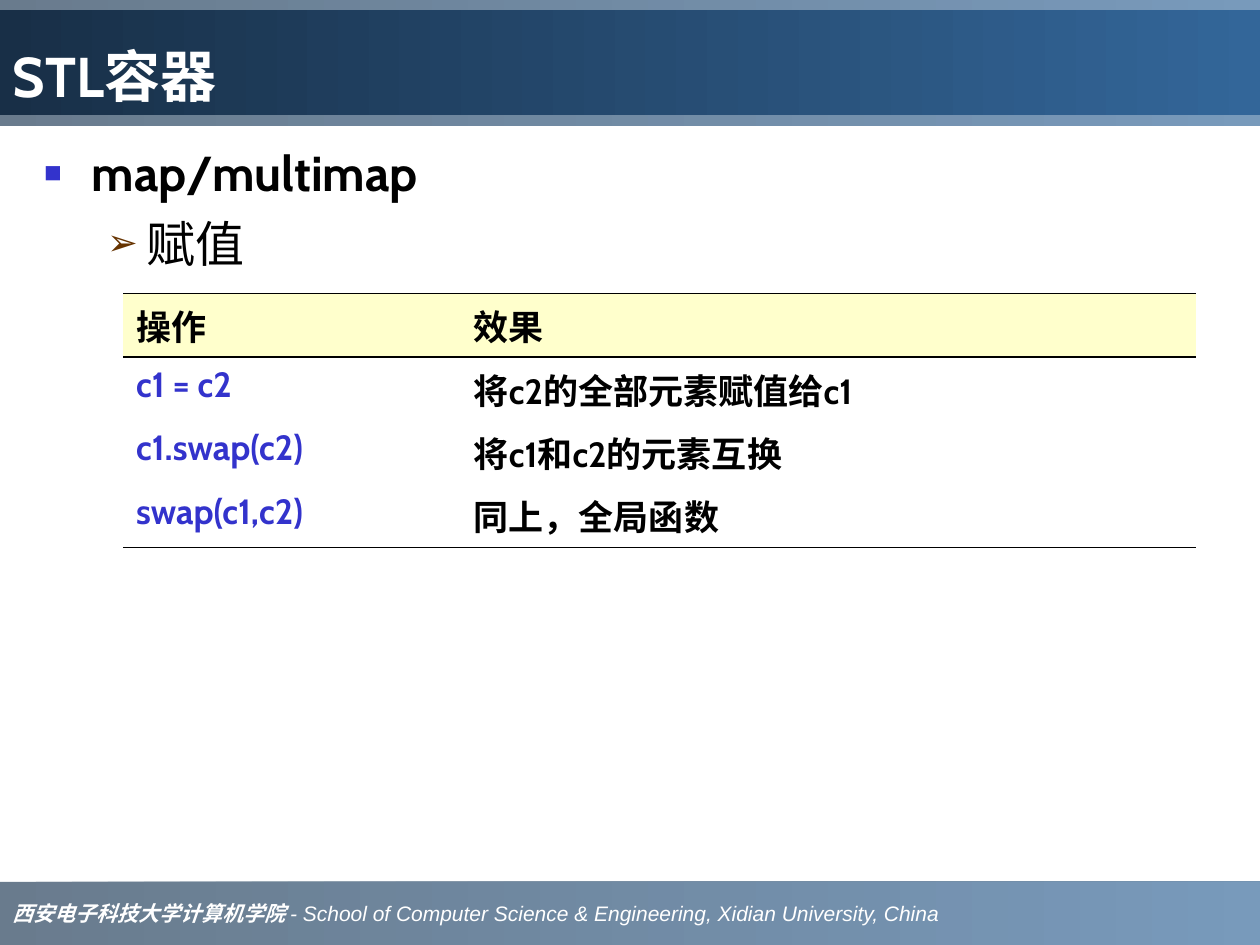
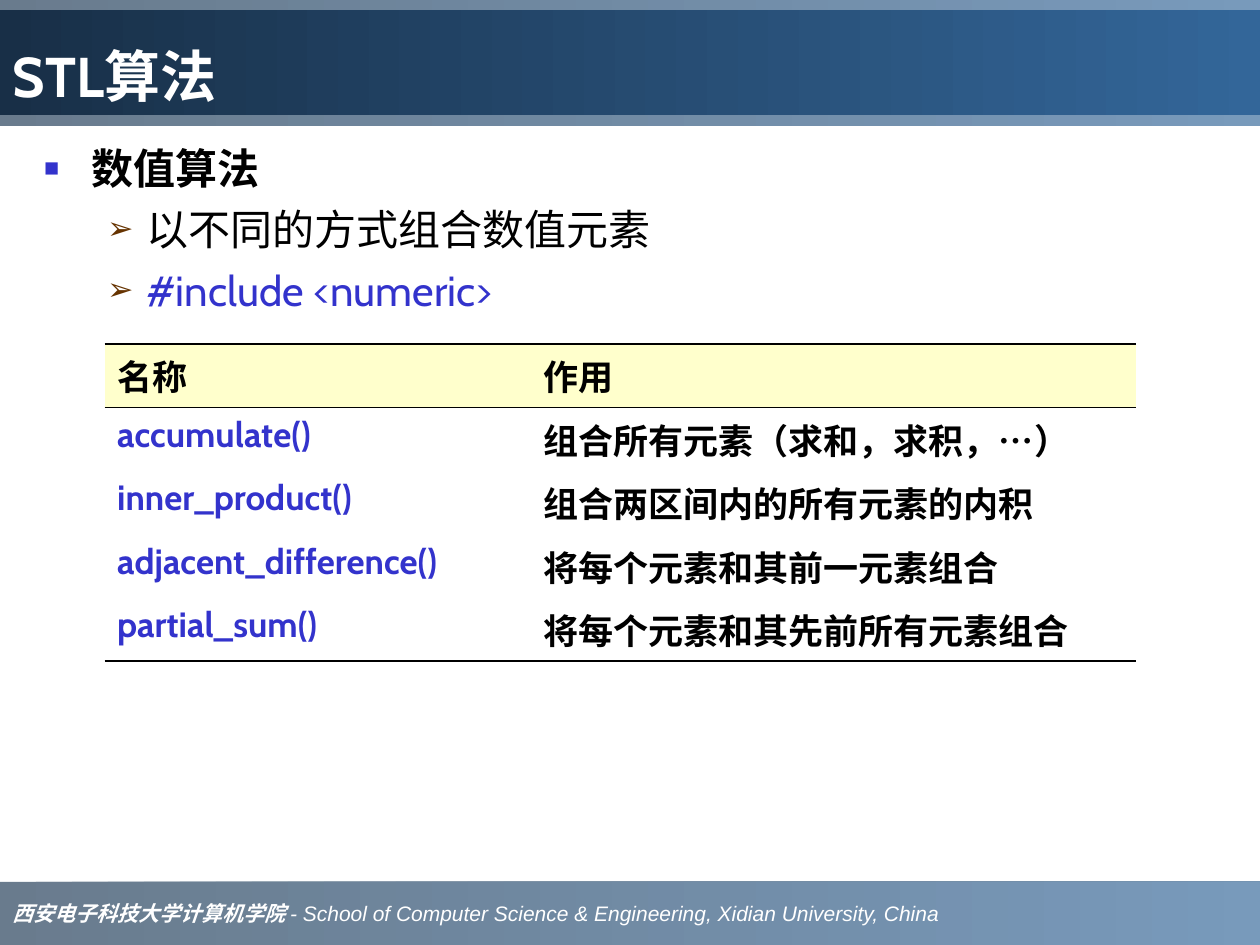
from lxml import etree
from pptx import Presentation
from pptx.dml.color import RGBColor
from pptx.enum.shapes import MSO_SHAPE
from pptx.enum.text import MSO_ANCHOR, MSO_AUTO_SIZE, PP_ALIGN
from pptx.oxml.ns import qn
from pptx.util import Inches, Pt

RECTANGLE = MSO_SHAPE.RECTANGLE
MIDDLE, BOTTOM, TOP = MSO_ANCHOR.MIDDLE, MSO_ANCHOR.BOTTOM, MSO_ANCHOR.TOP
LEFT = PP_ALIGN.LEFT
NO_FIT = MSO_AUTO_SIZE.NONE

MAIN_FONT, SERIF, SANS = "Cabin", "Times New Roman", "Arial"
BLACK, WHITE, BLUE, BROWN = "000000", "FFFFFF", "3333CC", "663300"
HEADER_FILL = "FFFFCC"
BAND_COLORS = ("1C3853", "336699")
TITLE_COLORS = ("182F47", "336699")
BULLETS = (
    {"char": "■", "color": BLUE, "percent": 60, "left": 0.38, "hang": 0.38},
    {"char": "➢", "color": BROWN, "percent": 75, "left": 0.81, "hang": 0.31},
)
ROW_HEIGHT = 0.5
THICK, THIN = 1.08, 0.75


def rgb(color):
    return RGBColor.from_string(color)


def add_element(parent, tag, **attributes):
    return etree.SubElement(parent, qn(tag), attributes)


class SlideStyle:
    def __init__(self, deck):
        self.deck = deck
        self.page = None

    def new_page(self):
        self.page = self.deck.slides.add_slide(self.deck.slide_layouts[1])

    def format_span(self, span, size, color, font=MAIN_FONT, bold=True, italic=False):
        span.font.name = font
        span.font.size = Pt(size)
        span.font.bold = bold
        span.font.italic = italic
        span.font.color.rgb = rgb(color)

    def place(self, shape, left, top, width, height):
        shape.left, shape.top = Inches(left), Inches(top)
        shape.width, shape.height = Inches(width), Inches(height)

    def gradient(self, shape, colors, opacity=100):
        shape.fill.gradient()
        shape.fill.gradient_angle = 0
        for position, (stop, color) in enumerate(zip(shape.fill.gradient_stops, colors)):
            stop.position = position
            stop.color.rgb = rgb(color)
        if opacity < 100:
            for color_element in shape.element.spPr.iter(qn("a:srgbClr")):
                add_element(color_element, "a:alpha", val=str(opacity * 1000))

    def band(self, top, height):
        band = self.page.shapes.add_shape(
            RECTANGLE, 0, Inches(top), self.deck.slide_width, Inches(height))
        band.shadow.inherit = False
        band.line.fill.background()
        self.gradient(band, BAND_COLORS, 66)
        return band

    def master_bands(self):
        footer = self.band(7, 0.5)
        header = self.band(0, 1)
        footer.text_frame.word_wrap = True
        footer.text_frame.vertical_anchor = MIDDLE
        para = footer.text_frame.paragraphs[0]
        para.alignment = LEFT
        para.text = "西安电子科技大学计算机学院 "
        self.format_span(para.runs[0], 12, WHITE, SERIF, italic=True)
        school = para.add_run()
        school.text = "- School of Computer Science & Engineering, Xidian University, China"
        self.format_span(school, 12, WHITE, SANS, bold=False, italic=True)
        master_tree = self.deck.slide_master.element.cSld.spTree
        for index, band in enumerate((footer, header), 2):
            master_tree.insert(index, band.element)

    def title(self, text):
        box = self.page.shapes.title
        self.place(box, 0, 0.08, 10, 0.83)
        self.gradient(box, TITLE_COLORS)
        frame = box.text_frame
        frame.text = text
        frame.auto_size = NO_FIT
        frame.vertical_anchor = BOTTOM
        frame.paragraphs[0].alignment = LEFT
        self.format_span(frame.paragraphs[0].runs[0], 32, WHITE)

    def bullet(self, para, char, color, percent, left, hang):
        properties = para._p.get_or_add_pPr()
        properties.set("marL", str(Inches(left)))
        properties.set("indent", str(-Inches(hang)))
        add_element(add_element(properties, "a:buClr"), "a:srgbClr", val=color)
        add_element(properties, "a:buSzPct", val=str(percent * 1000))
        add_element(properties, "a:buFont", typeface=SANS)
        add_element(properties, "a:buChar", char=char)

    def body(self, items, size, space):
        box = self.page.placeholders[1]
        self.place(box, 0.25, 1.08, 9.42, 5.83)
        frame = box.text_frame
        frame.text = "\n".join(text for text, level, color in items)
        frame.auto_size = NO_FIT
        frame.vertical_anchor = TOP
        for index, (para, (text, level, color)) in enumerate(zip(frame.paragraphs, items)):
            para.level = level
            para.space_before = Pt(space if index else 0)
            self.bullet(para, **BULLETS[level])
            self.format_span(para.runs[0], size, color, bold=level == 0)

    def borders(self, cell, top, bottom):
        properties = cell._tc.get_or_add_tcPr()
        for side, width in zip("LRTB", (0, 0, top, bottom)):
            line = add_element(properties, f"a:ln{side}", w=str(Pt(width)))
            if width:
                add_element(add_element(line, "a:solidFill"), "a:srgbClr", val=BLACK)
            else:
                add_element(line, "a:noFill")

    def cell_text(self, cell, text, color):
        para = cell.text_frame.paragraphs[0]
        before, ellipsis, after = text.partition("…")
        para.text = before
        for part in filter(None, (ellipsis, after)):
            para.add_run().text = part
        for span in para.runs:
            self.format_span(span, 20, color, SERIF if span.text == "…" else MAIN_FONT)

    def table(self, left, top, widths, rows):
        table = self.page.shapes.add_table(
            len(rows), len(widths), Inches(left), Inches(top),
            Inches(sum(widths)), Inches(ROW_HEIGHT * len(rows))).table
        table.horz_banding = False
        for column, width in zip(table.columns, widths):
            column.width = Inches(width)
        last = len(rows) - 1
        for row_index, row in enumerate(rows):
            is_header = row_index == 0
            top_line = {0: THICK, 1: THIN}.get(row_index, 0)
            bottom_line = {0: THIN, last: THICK}.get(row_index, 0)
            for column_index, text in enumerate(row):
                cell = table.cell(row_index, column_index)
                self.borders(cell, top_line, bottom_line)
                if is_header:
                    cell.fill.solid()
                    cell.fill.fore_color.rgb = rgb(HEADER_FILL)
                else:
                    cell.fill.background()
                is_code = column_index == 0 and not is_header
                self.cell_text(cell, text, BLUE if is_code else BLACK)


def main():
    deck = Presentation()
    deck.slide_width, deck.slide_height = Inches(10), Inches(7.5)
    style = SlideStyle(deck)

    style.new_page()
    style.master_bands()
    style.title("STL容器")
    style.body([("map/multimap", 0, BLACK), ("赋值", 1, BLACK)], 28, 7)
    style.table(0.98, 2.33, (2.68, 5.83), [
        ("操作", "效果"),
        ("c1 = c2", "将c2的全部元素赋值给c1"),
        ("c1.swap(c2)", "将c1和c2的元素互换"),
        ("swap(c1,c2)", "同上，全局函数"),
    ])

    style.new_page()
    style.title("STL算法")
    style.body([
        ("数值算法", 0, BLACK),
        ("以不同的方式组合数值元素", 1, BLACK),
        ("#include <numeric>", 1, BLUE),
    ], 24, 6)
    style.table(0.83, 2.73, (3.38, 4.81), [
        ("名称", "作用"),
        ("accumulate()", "组合所有元素（求和，求积，…）"),
        ("inner_product()", "组合两区间内的所有元素的内积"),
        ("adjacent_difference()", "将每个元素和其前一元素组合"),
        ("partial_sum()", "将每个元素和其先前所有元素组合"),
    ])

    deck.save("out.pptx")


if __name__ == "__main__":
    main()
